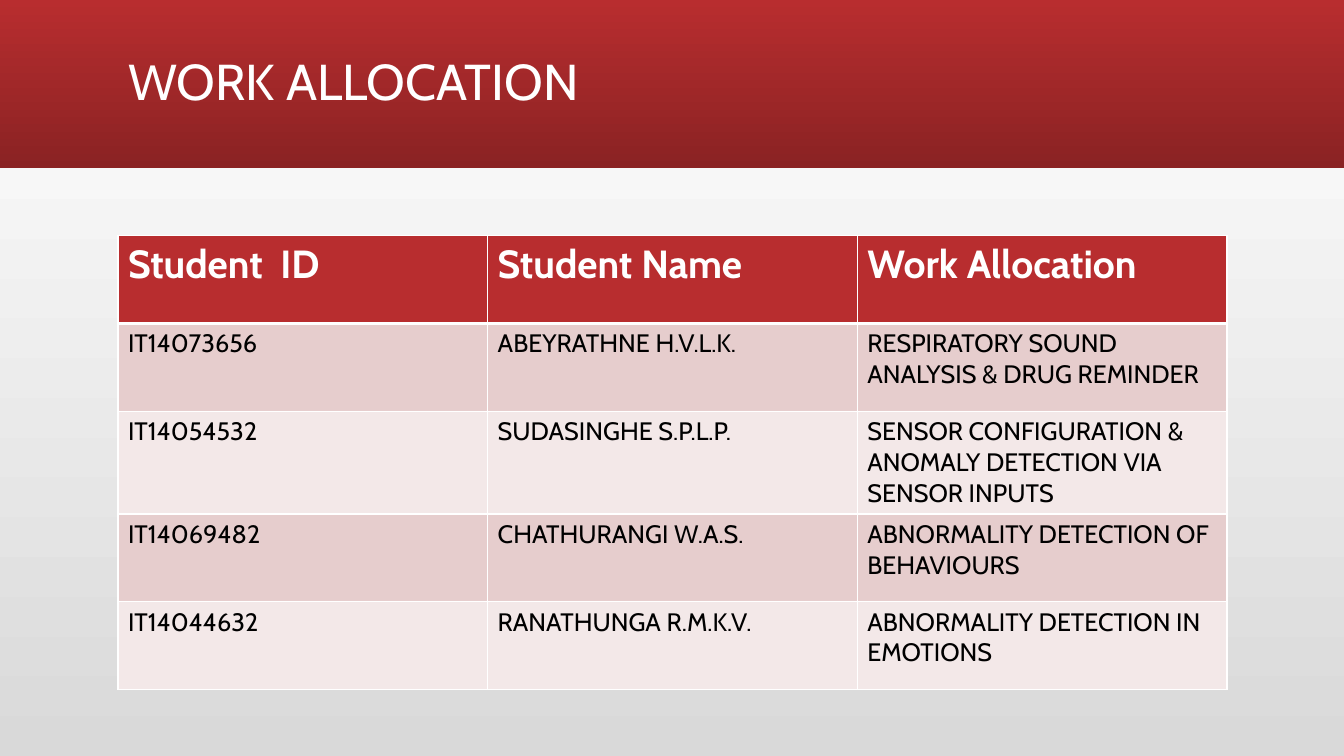
from lxml import etree
from pptx import Presentation
from pptx.dml.color import RGBColor
from pptx.enum import shapes, text
from pptx.oxml.ns import qn
from pptx.util import Inches, Pt

FONT = "Cabin"
COLORS = {
    "white": "FFFFFF",
    "black": "000000",
    "red": "B82D2F",
    "dark_red": "8A2223",
    "gray": "D9D9D9",
    "odd_row": "E6CDCD",
    "even_row": "F3E8E8",
}
HEADINGS = ["Student  ID", "Student Name", "Work Allocation"]
ALLOCATIONS = [
    ["IT14073656", "ABEYRATHNE H.V.L.K.", "RESPIRATORY SOUND ANALYSIS & DRUG REMINDER"],
    ["IT14054532", "SUDASINGHE S.P.L.P.",
     "SENSOR CONFIGURATION & ANOMALY DETECTION VIA SENSOR INPUTS"],
    ["IT14069482", "CHATHURANGI W.A.S.", "ABNORMALITY DETECTION OF BEHAVIOURS"],
    ["IT14044632", "RANATHUNGA R.M.K.V.", "ABNORMALITY DETECTION IN EMOTIONS"],
]
ROW_HEIGHTS = [0.87, 0.87, 1.02, 0.87, 0.87]


def rgb(name):
    return RGBColor.from_string(COLORS[name])


def fill_gradient(fill, start, end, angle):
    """Fill from start to end; the angle runs counter-clockwise."""
    fill.gradient()
    fill.gradient_angle = angle
    for stop, name in zip(fill.gradient_stops, (start, end)):
        stop.color.rgb = rgb(name)


def add_run(paragraph, wording, size, color, bold=False):
    run = paragraph.add_run()
    run.text = wording
    run.font.name = FONT
    run.font.size = Pt(size)
    run.font.bold = bold
    run.font.color.rgb = rgb(color)


def add_header_band(slide, width):
    band = slide.shapes.add_shape(
        shapes.MSO_SHAPE.RECTANGLE, 0, 0, width, Inches(1.67))
    band.shadow.inherit = False
    band.line.fill.background()
    fill_gradient(band.fill, "red", "dark_red", 270)


def format_title(slide, wording):
    """Place the title in front of the header band."""
    title = slide.shapes.title
    title.element.getparent().append(title.element)
    title.left, title.top = Inches(1.17), Inches(0.11)
    title.width, title.height = Inches(11), Inches(1.45)
    frame = title.text_frame
    frame.word_wrap = True
    frame.vertical_anchor = text.MSO_ANCHOR.MIDDLE
    paragraph = frame.paragraphs[0]
    paragraph.alignment = text.PP_ALIGN.LEFT
    paragraph.line_spacing = 0.9
    add_run(paragraph, wording, 36, "white")


def set_borders(cell, top, bottom):
    """Draw white borders; top and bottom widths are in points."""
    properties = cell._tc.get_or_add_tcPr()
    widths = {"a:lnL": 1, "a:lnR": 1, "a:lnT": top, "a:lnB": bottom}
    for position, (tag, width) in enumerate(widths.items()):
        border = etree.Element(qn(tag), w=str(Pt(width)))
        solid = etree.SubElement(border, qn("a:solidFill"))
        etree.SubElement(solid, qn("a:srgbClr"), val=COLORS["white"])
        properties.insert(position, border)


def fill_row(table, row, wordings, background, size, color, bold=False):
    for column, wording in enumerate(wordings):
        cell = table.cell(row, column)
        cell.fill.solid()
        cell.fill.fore_color.rgb = rgb(background)
        set_borders(cell, top=3 if row == 1 else 1, bottom=3 if row == 0 else 1)
        add_run(cell.text_frame.paragraphs[0], wording, size, color, bold)


def add_allocation_table(slide):
    table = slide.shapes.add_table(
        len(ROW_HEIGHTS), len(HEADINGS),
        Inches(1.17), Inches(2.34), Inches(11), Inches(sum(ROW_HEIGHTS))).table
    for row, height in zip(table.rows, ROW_HEIGHTS):
        row.height = Inches(height)
    fill_row(table, 0, HEADINGS, "red", 28, "white", bold=True)
    for row, allocation in enumerate(ALLOCATIONS, start=1):
        background = "odd_row" if row % 2 else "even_row"
        fill_row(table, row, allocation, background, 18, "black")


def main():
    presentation = Presentation()
    presentation.slide_width = Inches(13.33)
    presentation.slide_height = Inches(7.5)
    slide = presentation.slides.add_slide(presentation.slide_layouts[5])
    fill_gradient(slide.background.fill, "gray", "white", 90)
    add_header_band(slide, presentation.slide_width)
    format_title(slide, "WORK ALLOCATION")
    add_allocation_table(slide)
    presentation.save("out.pptx")


if __name__ == "__main__":
    main()
